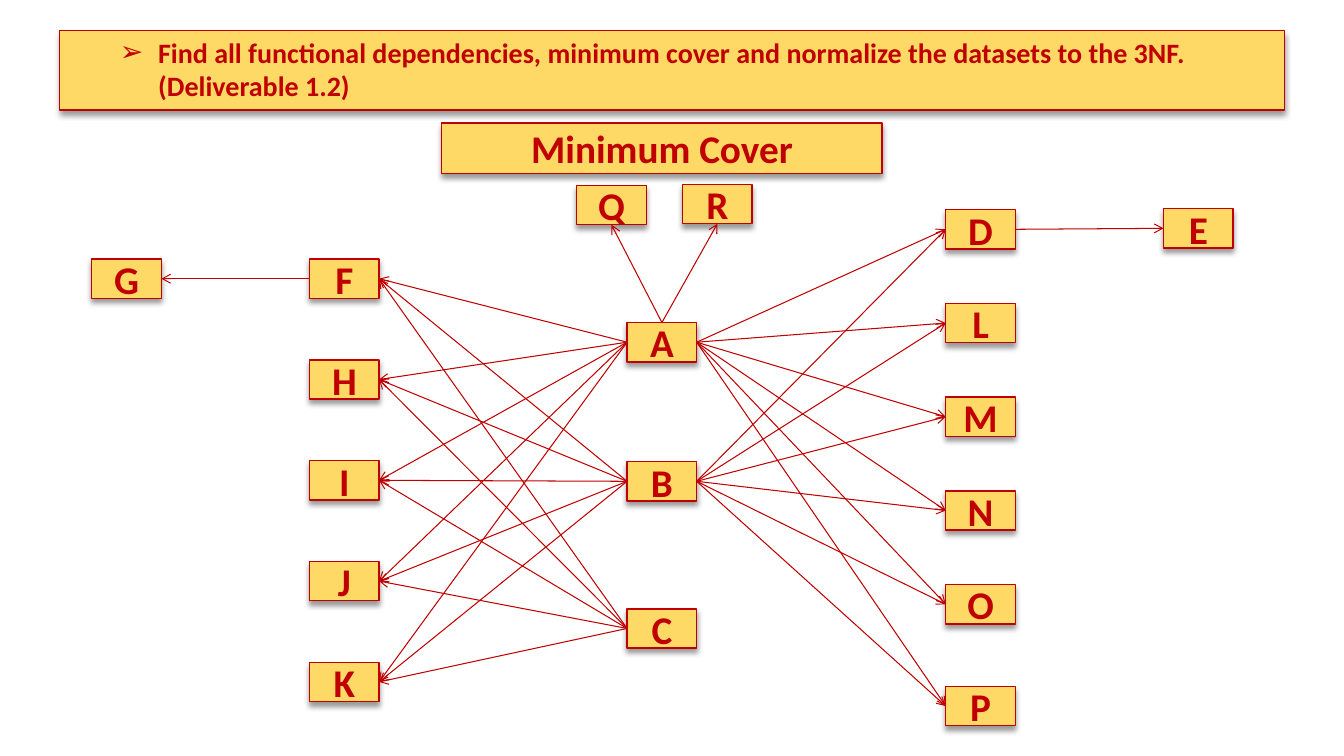
from dataclasses import dataclass

from lxml import etree
from pptx import Presentation
from pptx.dml.color import RGBColor
from pptx.enum import shapes, text
from pptx.oxml import parse_xml
from pptx.oxml.ns import nsdecls, qn
from pptx.util import Inches, Pt


@dataclass(frozen=True)
class Theme:
    gold: RGBColor = RGBColor(0xFF, 0xD9, 0x66)
    red: RGBColor = RGBColor(0xC0, 0x00, 0x00)
    font: str = "Calibri"
    large: int = 28
    small: int = 20
    border: float = 1
    arrow: float = 0.75


THEME = Theme()
TOP, LEFT, BOTTOM, RIGHT = range(4)
NODE_W, NODE_H = 0.69, 0.39

LEFT_COL = "FHIJK"
RIGHT_COL = "DLMNOP"
PLACES = {
    "A": (6.22, 3.2), "B": (6.22, 4.58), "C": (6.22, 6.04),
    "Q": (5.72, 1.84), "R": (6.77, 1.83),
    "E": (11.54, 2.07), "G": (0.91, 2.57),
    **{name: (3.07, 2.57 + row) for row, name in enumerate(LEFT_COL)},
    **{name: (9.38, 2.08 + 0.93 * row) for row, name in enumerate(RIGHT_COL)},
    "P": (9.38, 6.81),
}

# Sources, start side, targets, end side
LINKS = [
    ("A", TOP, "QR", BOTTOM),
    ("AB", RIGHT, RIGHT_COL, LEFT),
    ("D", RIGHT, "E", LEFT),
    ("ABC", LEFT, LEFT_COL, RIGHT),
    ("F", LEFT, "G", RIGHT),
]


def add_shadow(box):
    box.shadow.inherit = False
    effects = box._element.spPr.find(qn("a:effectLst"))
    effects.append(parse_xml(
        f'<a:outerShdw {nsdecls("a")} blurRad="{Pt(4)}" dist="{Pt(3)}" '
        'dir="5400000" rotWithShape="0"><a:srgbClr val="000000">'
        '<a:alpha val="40000"/></a:srgbClr></a:outerShdw>'))


def add_box(slide, words, x, y, w, h, size):
    box = slide.shapes.add_shape(
        shapes.MSO_SHAPE.RECTANGLE, Inches(x), Inches(y), Inches(w), Inches(h))
    box.fill.solid()
    box.fill.fore_color.rgb = THEME.gold
    box.line.color.rgb = THEME.red
    box.line.width = Pt(THEME.border)
    add_shadow(box)
    para = box.text_frame.paragraphs[0]
    para.text = words
    para.alignment = text.PP_ALIGN.CENTER
    for run in para.runs:
        run.font.name = THEME.font
        run.font.size = Pt(size)
        run.font.bold = True
        run.font.color.rgb = THEME.red
    return box


def add_banner(slide):
    box = add_box(
        slide,
        "Find all functional dependencies, minimum cover and normalize "
        "the datasets to the 3NF. \v(Deliverable 1.2)",
        0.59, 0.3, 12.15, 0.79, THEME.small)
    box.text_frame.vertical_anchor = text.MSO_ANCHOR.TOP
    para = box.text_frame.paragraphs[0]
    para.alignment = text.PP_ALIGN.LEFT
    para.level = 1
    props = para._p.get_or_add_pPr()
    props.set("marL", str(Inches(0.88)))
    props.set("indent", str(Inches(-0.38)))
    etree.SubElement(props, qn("a:buFont")).set("typeface", "Arial")
    etree.SubElement(props, qn("a:buChar")).set("char", "➢")


def add_arrow(slide, start, out, end, into):
    line = slide.shapes.add_connector(shapes.MSO_CONNECTOR.STRAIGHT, 0, 0, 0, 0)
    line.begin_connect(start, out)
    line.end_connect(end, into)
    line.line.color.rgb = THEME.red
    line.line.width = Pt(THEME.arrow)
    etree.SubElement(line.line._get_or_add_ln(), qn("a:tailEnd")).set("type", "arrow")
    etree.SubElement(line._element.spPr, qn("a:effectLst"))


def main():
    deck = Presentation()
    deck.slide_width = Inches(13.33)
    deck.slide_height = Inches(7.5)
    slide = deck.slides.add_slide(deck.slide_layouts[6])

    nodes = {name: add_box(slide, name, x, y, NODE_W, NODE_H, THEME.large)
             for name, (x, y) in PLACES.items()}
    for starts, out, ends, into in LINKS:
        for start in starts:
            for end in ends:
                add_arrow(slide, nodes[start], out, nodes[end], into)

    add_box(slide, "Minimum Cover", 4.38, 1.22, 4.37, 0.5, THEME.large)
    add_banner(slide)
    deck.save("out.pptx")


if __name__ == "__main__":
    main()
